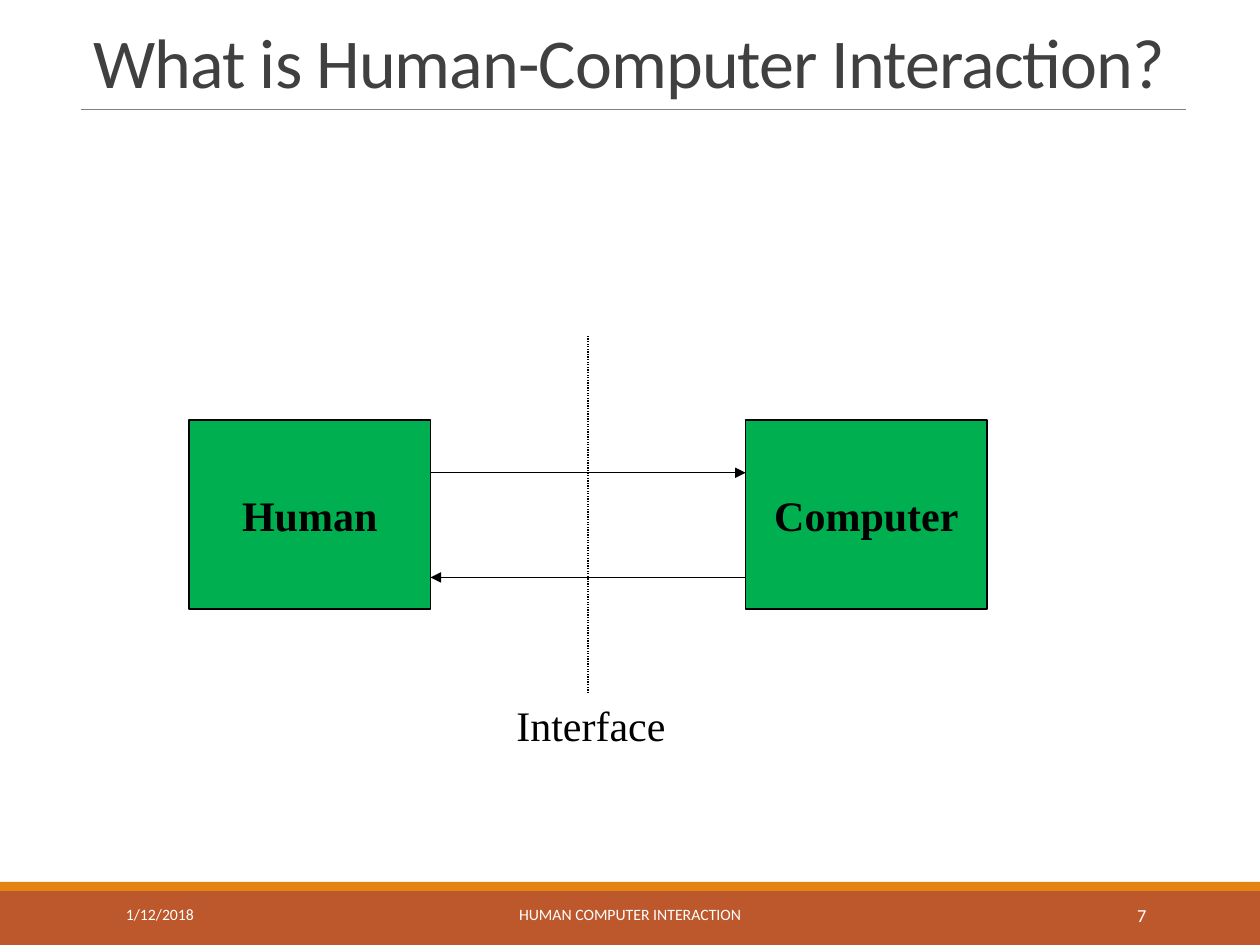
from dataclasses import dataclass
from typing import Optional

from lxml import etree
from pptx import Presentation
from pptx.dml.color import RGBColor
from pptx.enum import dml, shapes, text
from pptx.oxml import ns
from pptx.util import Cm, Pt

BLACK = RGBColor(0x00, 0x00, 0x00)
WHITE = RGBColor(0xFF, 0xFF, 0xFF)
GREEN = RGBColor(0x00, 0xB0, 0x50)
RUST = RGBColor(0xBD, 0x58, 0x2C)
ORANGE = RGBColor(0xE4, 0x83, 0x12)
RULE_GREY = RGBColor(0x80, 0x80, 0x80)
TITLE_GREY = RGBColor(0x40, 0x40, 0x40)

SLIDE_W, SLIDE_H = 25.4, 19.05
BAND_TOP, STRIPE_TOP = 17.93, 17.78
PARTY_TOP, PARTY_W, PARTY_H = 8.47, 4.87, 3.81
HUMAN_LEFT, COMPUTER_LEFT = 3.81, 15.03
HUMAN_RIGHT = HUMAN_LEFT + PARTY_W
INTERFACE_X = (HUMAN_RIGHT + COMPUTER_LEFT) / 2
INTERFACE_TOP, INTERFACE_BOTTOM = 6.77, 13.97


@dataclass(frozen=True)
class Box:
    """A rectangle in centimetres."""
    left: float
    top: float
    width: float
    height: float

    def lengths(self) -> tuple:
        return Cm(self.left), Cm(self.top), Cm(self.width), Cm(self.height)


@dataclass(frozen=True)
class Label:
    words: str
    font: str
    size: float
    color: RGBColor
    bold: bool = False
    align: text.PP_ALIGN = text.PP_ALIGN.LEFT
    anchor: text.MSO_ANCHOR = text.MSO_ANCHOR.MIDDLE
    wrap: bool = True
    fit: text.MSO_AUTO_SIZE = text.MSO_AUTO_SIZE.NONE


@dataclass(frozen=True)
class Line:
    start: tuple
    end: tuple
    color: RGBColor = BLACK
    width: float = 0.75
    dash: Optional[dml.MSO_LINE] = None
    arrow: bool = False


def write(frame, label: Label) -> None:
    frame.word_wrap = label.wrap
    frame.auto_size = label.fit
    frame.vertical_anchor = label.anchor
    paragraph = frame.paragraphs[0]
    paragraph.text = label.words
    paragraph.alignment = label.align
    font = paragraph.font
    font.name, font.size, font.bold = label.font, Pt(label.size), label.bold
    font.color.rgb = label.color


def add_rectangle(slide, box: Box, fill: RGBColor, outline: Optional[RGBColor] = None):
    rectangle = slide.shapes.add_shape(shapes.MSO_SHAPE.RECTANGLE, *box.lengths())
    rectangle.shadow.inherit = False
    rectangle.fill.solid()
    rectangle.fill.fore_color.rgb = fill
    if outline is None:
        rectangle.line.fill.background()
    else:
        rectangle.line.color.rgb = outline
        rectangle.line.width = Pt(0.75)
    return rectangle


def add_line(slide, line: Line) -> None:
    connector = slide.shapes.add_connector(
        shapes.MSO_CONNECTOR.STRAIGHT, *(Cm(v) for v in line.start + line.end))
    connector.line.color.rgb = line.color
    connector.line.width = Pt(line.width)
    if line.dash is not None:
        connector.line.dash_style = line.dash
    if line.arrow:
        etree.SubElement(connector.line._get_or_add_ln(), ns.qn("a:tailEnd"), type="triangle")
    etree.SubElement(connector._element.spPr, ns.qn("a:effectLst"))


def add_label(slide, box: Box, label: Label) -> None:
    write(slide.shapes.add_textbox(*box.lengths()).text_frame, label)


def set_title(slide) -> None:
    title = slide.shapes.title
    title.left, title.top, title.width, title.height = Box(1.63, 0.33, 22.28, 1.88).lengths()
    write(title.text_frame, Label("What is Human-Computer Interaction?", "Calibri", 40,
                                  TITLE_GREY, anchor=text.MSO_ANCHOR.BOTTOM))
    paragraph = title.text_frame.paragraphs[0]
    paragraph.line_spacing = 0.85
    paragraph.runs[0]._r.get_or_add_rPr().set("spc", "-50")


def add_diagram(slide) -> None:
    for name, left in (("Human", HUMAN_LEFT), ("Computer", COMPUTER_LEFT)):
        party = add_rectangle(slide, Box(left, PARTY_TOP, PARTY_W, PARTY_H), GREEN, BLACK)
        write(party.text_frame, Label(name, "Times New Roman", 24, BLACK, bold=True,
                                      align=text.PP_ALIGN.CENTER, wrap=False))
    to_computer_y, to_human_y = 9.53, 11.64
    for line in (
        Line((INTERFACE_X, INTERFACE_TOP), (INTERFACE_X, INTERFACE_BOTTOM),
             dash=dml.MSO_LINE.ROUND_DOT),
        Line((HUMAN_RIGHT, to_computer_y), (COMPUTER_LEFT, to_computer_y), arrow=True),
        Line((COMPUTER_LEFT, to_human_y), (HUMAN_RIGHT, to_human_y), arrow=True),
    ):
        add_line(slide, line)
    add_label(slide, Box(10.16, INTERFACE_BOTTOM, 3.52, 1.27),
              Label("Interface", "Times New Roman", 24, BLACK, anchor=text.MSO_ANCHOR.TOP,
                    wrap=False, fit=text.MSO_AUTO_SIZE.SHAPE_TO_FIT_TEXT))


def add_footer(slide) -> None:
    for words, left, width, size, align in (
        ("1/12/2018", 2.29, 5.16, 9, text.PP_ALIGN.LEFT),
        ("HUMAN COMPUTER INTERACTION", 7.67, 10.06, 9, text.PP_ALIGN.CENTER),
        ("7", 20.62, 2.74, 10.5, text.PP_ALIGN.RIGHT),
    ):
        add_label(slide, Box(left, BAND_TOP, width, 1.02),
                  Label(words, "Calibri", size, WHITE, align=align))


def main() -> None:
    deck = Presentation()
    deck.slide_width, deck.slide_height = Cm(SLIDE_W), Cm(SLIDE_H)
    slide = deck.slides.add_slide(deck.slide_layouts.get_by_name("Title Only"))
    add_rectangle(slide, Box(0, BAND_TOP, SLIDE_W, SLIDE_H - BAND_TOP), RUST)
    add_rectangle(slide, Box(0, STRIPE_TOP, SLIDE_W, 0.18), ORANGE)
    add_line(slide, Line((1.63, 2.21), (23.91, 2.21), RULE_GREY, 0.5))
    set_title(slide)
    add_diagram(slide)
    add_footer(slide)
    deck.save("out.pptx")


if __name__ == "__main__":
    main()
